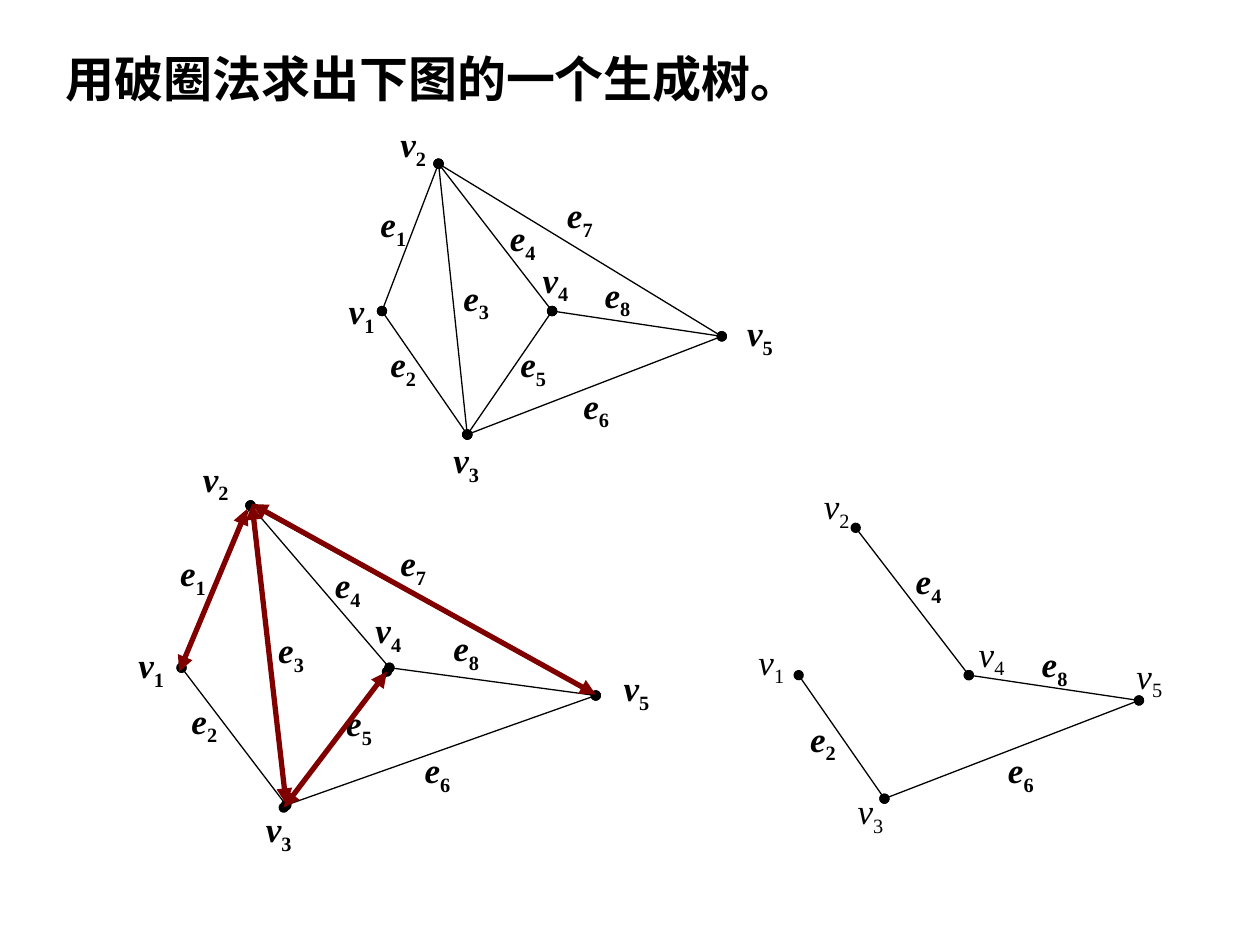
from lxml.etree import SubElement
from pptx import Presentation
from pptx.dml.color import RGBColor
from pptx.enum.shapes import MSO_CONNECTOR
from pptx.enum.text import MSO_ANCHOR, PP_ALIGN
from pptx.oxml.ns import qn
from pptx.util import Cm, Pt

TITLE = "用破圈法求出下图的一个生成树。"
TITLE_FONT, LABEL_FONT = "Noto Sans CJK SC", "Times New Roman"
BLACK, DARK_RED = "000000", "800000"
LABEL_SIZE = (1.75, 1.5)

EDGES = {
    "e1": ("v1", "v2"), "e2": ("v1", "v3"), "e6": ("v3", "v5"), "e7": ("v2", "v5"),
    "e3": ("v2", "v3"), "e4": ("v2", "v4"), "e5": ("v4", "v3"), "e8": ("v4", "v5"),
}

GRAPHS = [
    {
        "bold_vertices": True,
        "vertices": {
            "v1": (7.7, 6.27), "v2": (8.84, 3.3), "v3": (9.42, 8.76),
            "v4": (11.13, 6.27), "v5": (14.55, 6.78),
        },
        "labels": {
            "v1": (6.78, 5.72), "v2": (7.82, 2.34), "v3": (8.89, 8.71),
            "v4": (10.69, 5.08), "v5": (14.81, 6.15),
            "e1": (7.42, 3.96), "e2": (7.62, 6.78), "e3": (9.09, 5.44),
            "e4": (10.03, 4.24), "e5": (10.24, 6.78), "e6": (11.51, 7.62),
            "e7": (11.18, 3.78), "e8": (11.94, 5.38),
        },
    },
    {
        "bold_vertices": False,
        "vertices": {
            "v1": (16.1, 13.61), "v2": (17.25, 10.64), "v3": (17.83, 16.1),
            "v4": (19.53, 13.61), "v5": (22.96, 14.12),
        },
        "labels": {
            "v1": (15.04, 12.78), "v2": (16.36, 9.65), "v3": (17.04, 15.8),
            "v4": (19.48, 12.62), "v5": (22.66, 13.06),
            "e2": (16.08, 14.33), "e4": (18.21, 11.15),
            "e6": (20.07, 14.96), "e8": (20.75, 12.83),
        },
    },
    {
        "bold_vertices": True,
        "vertices": {
            "v1": (3.66, 13.46), "v2": (5.05, 10.19), "v3": (5.77, 16.23),
            "v4": (7.85, 13.46), "v5": (12.01, 14.02),
        },
        "moved_edges": {"e5": ((7.8, 13.54), (5.72, 16.28))},
        "labels": {
            "v1": (2.54, 12.85), "v2": (3.84, 9.09), "v3": (5.11, 16.15),
            "v4": (7.32, 12.14), "v5": (12.32, 13.31),
            "e1": (3.38, 11), "e2": (3.61, 13.97), "e3": (5.36, 12.55),
            "e4": (6.5, 11.23), "e5": (6.73, 14.02), "e6": (8.31, 14.96),
            "e7": (7.82, 10.8), "e8": (8.89, 12.5),
        },
    },
]

REMOVED_EDGES = [
    ((3.61, 13.54), (4.98, 10.26)),
    ((5.08, 10.16), (5.77, 16.21)),
    ((7.8, 13.54), (5.72, 16.28)),
    ((5.08, 10.16), (12.01, 14)),
]


def rgb(color):
    return RGBColor.from_string(color)


def set_font(p, name, size, bold):
    p.font.name, p.font.size, p.font.bold = name, Pt(size), bold
    p.font.color.rgb = rgb(BLACK)


def add_title(s):
    sp = s.shapes.title
    sp.left, sp.top, sp.width, sp.height = Cm(1.07), Cm(0.84), Cm(19.48), Cm(1.45)
    tf = sp.text_frame
    tf.text = TITLE
    tf.word_wrap = True
    tf.vertical_anchor = MSO_ANCHOR.MIDDLE
    p = tf.paragraphs[0]
    p.alignment = PP_ALIGN.LEFT
    set_font(p, TITLE_FONT, 28, True)
    props = p._p.get_or_add_pPr().get_or_add_defRPr()
    SubElement(props, qn("a:ea"), typeface=TITLE_FONT)


def add_line(shapes, start, end, color, width, tip):
    ends = [Cm(n) for n in (*start, *end)]
    line = shapes.add_connector(MSO_CONNECTOR.STRAIGHT, *ends)
    line.line.color.rgb = rgb(color)
    line.line.width = Pt(width)
    ln = line.line._get_or_add_ln()
    for tag in ("a:headEnd", "a:tailEnd"):
        SubElement(ln, qn(tag), type=tip)
    SubElement(line._element.spPr, qn("a:effectLst"))


def add_label(shapes, name, position, bold):
    sp = shapes.add_textbox(*[Cm(n) for n in (*position, *LABEL_SIZE)])
    tf = sp.text_frame
    tf.word_wrap = True
    p = tf.paragraphs[0]
    set_font(p, LABEL_FONT, 20, bold)
    letter, index = name
    r = p.add_run()
    r.text = letter
    r.font.italic = True
    r = p.add_run()
    r.text = index
    r._r.get_or_add_rPr().set("baseline", "-25000")


def add_graph(s, graph):
    shapes = s.shapes.add_group_shape().shapes
    vertices, labels = graph["vertices"], graph["labels"]
    moved = graph.get("moved_edges", {})
    for edge, (a, b) in EDGES.items():
        if edge in labels:
            start, end = moved.get(edge, (vertices[a], vertices[b]))
            add_line(shapes, start, end, BLACK, 0.75, "oval")
    for name, position in labels.items():
        add_label(shapes, name, position, name in EDGES or graph["bold_vertices"])


def main():
    prs = Presentation()
    prs.slide_width, prs.slide_height = Cm(25.4), Cm(19.05)
    s = prs.slides.add_slide(prs.slide_layouts[5])
    add_title(s)
    for graph in GRAPHS:
        add_graph(s, graph)
    for start, end in REMOVED_EDGES:
        add_line(s.shapes, start, end, DARK_RED, 3, "triangle")
    prs.save("out.pptx")


if __name__ == "__main__":
    main()
